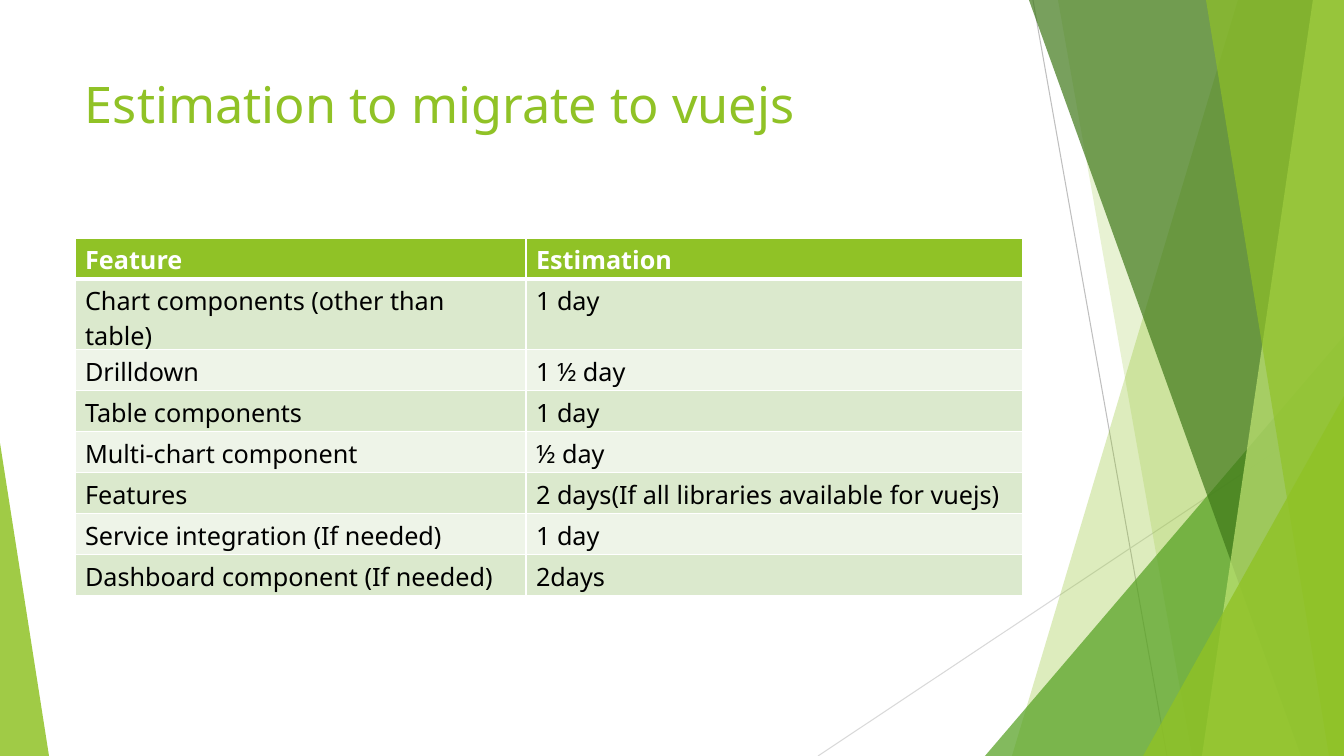
from lxml import etree
from pptx import Presentation
from pptx.dml.color import RGBColor
from pptx.enum.shapes import MSO_CONNECTOR, MSO_SHAPE
from pptx.oxml.ns import qn
from pptx.util import Emu, Pt

STRAIGHT = MSO_CONNECTOR.STRAIGHT
TRIANGLE = MSO_SHAPE.ISOSCELES_TRIANGLE
SCALE = 914400 / 100.8
WIDTH, HEIGHT = 1344, 756
FONT = "Noto Sans"
COLORS = {
    "lime": "90C226", "green": "54A021", "forest": "3F7819", "pale": "C0E474",
    "gray": "BFBFBF", "silver": "D9D9D9", "white": "FFFFFF", "black": "000000",
    "band": "DBE9CD", "light_band": "EEF4E8",
}
ESTIMATES = [
    ("Feature", "Estimation "),
    ("Chart components (other than table)", "1 day"),
    ("Drilldown", "1 ½ day"),
    ("Table components ", "1 day"),
    ("Multi-chart component", "½ day"),
    ("Features", "2 days(If all libraries available for vuejs)"),
    ("Service integration (If needed)", "1 day"),
    ("Dashboard component (If needed)", "2days"),
]


def px(length):
    return Emu(round(length * SCALE))


def rgb(name):
    return RGBColor.from_string(COLORS[name])


def add_line(page, start, end, color):
    line = page.shapes.add_connector(STRAIGHT, *map(px, start + end))
    line.line.color.rgb = rgb(color)
    line.line.width = Pt(0.75)
    etree.SubElement(line._element.spPr, qn("a:effectLst"))


def paint(shape, color, opacity):
    shape.shadow.inherit = False
    shape.line.fill.background()
    shape.fill.solid()
    shape.fill.fore_color.rgb = rgb(color)
    tint = shape._element.spPr.find(qn("a:solidFill"))[0]
    etree.SubElement(tint, qn("a:alpha"), val=str(opacity * 1000))


def add_shard(page, top_x, bottom_x, color, opacity):
    """Fill the slide from a slanted edge to its right side."""
    outline = page.shapes.build_freeform(top_x, 0, SCALE)
    outline.add_line_segments([(WIDTH, 0), (WIDTH, HEIGHT), (bottom_x, HEIGHT)])
    paint(outline.convert_to_shape(), color, opacity)


def add_corner(page, left, top, width, apex, color, opacity):
    """Stand a right-angled triangle on the bottom edge."""
    shape = page.shapes.add_shape(
        TRIANGLE, px(left), px(top), px(width), px(HEIGHT - top))
    shape.adjustments[0] = apex
    paint(shape, color, opacity)


def style_text(frame, size, color, bold=False):
    for para in frame.paragraphs:
        for span in para.runs:
            span.font.name = FONT
            span.font.size = Pt(size)
            span.font.bold = bold
            span.font.color.rgb = rgb(color)


def add_title(page, text):
    box = page.shapes.add_textbox(px(75), px(68), px(948), px(145))
    box.text_frame.word_wrap = True
    box.text_frame.text = text
    style_text(box.text_frame, 36, "lime")


def add_borders(cell, bottom):
    properties = cell._tc.get_or_add_tcPr()
    widths = {"lnL": 1, "lnR": 1, "lnT": 1, "lnB": bottom}
    for position, (side, width) in enumerate(widths.items()):
        border = etree.Element(qn("a:" + side), w=str(Pt(width)))
        fill = etree.SubElement(border, qn("a:solidFill"))
        etree.SubElement(fill, qn("a:srgbClr"), val=COLORS["white"])
        properties.insert(position, border)


def add_estimates(page, rows):
    row_height = 41
    table = page.shapes.add_table(
        len(rows), 2, px(75), px(238), px(948), px(row_height * len(rows))).table
    for column, width in zip(table.columns, (451, 497)):
        column.width = px(width)
    for index, values in enumerate(rows):
        header = index == 0
        fill = "lime" if header else "band" if index % 2 else "light_band"
        for cell, value in zip(table.rows[index].cells, values):
            cell.text_frame.text = value
            style_text(cell.text_frame, 18, "white" if header else "black", header)
            cell.fill.solid()
            cell.fill.fore_color.rgb = rgb(fill)
            # The row under the header shares its thick border
            add_borders(cell, 3 if header else 1)
            if index == 1:
                cell._tc.tcPr.find(qn("a:lnT")).set("w", str(Pt(3)))


def main():
    deck = Presentation()
    deck.slide_width, deck.slide_height = px(WIDTH), px(HEIGHT)
    page = deck.slides.add_slide(deck.slide_layouts[6])

    # Background facets, back to front
    add_line(page, (1033, 0), (1167, HEIGHT), "gray")
    add_line(page, (WIDTH, 406), (818, HEIGHT), "silver")
    add_shard(page, 1238, 1012, "lime", 30)
    add_shard(page, 1058, 1192, "lime", 20)
    add_corner(page, 985, 336, 359, 1, "green", 72)
    add_shard(page, 1029, 1301, "forest", 70)
    add_shard(page, 1313, 1202, "pale", 70)
    add_shard(page, 1206, 1329, "lime", 65)
    add_corner(page, 1143, 396, 201, 1, "lime", 80)
    add_corner(page, 0, 443, 49, 0, "lime", 85)

    # Content
    add_title(page, "Estimation to migrate to vuejs")
    add_estimates(page, ESTIMATES)
    deck.save("out.pptx")


main()
